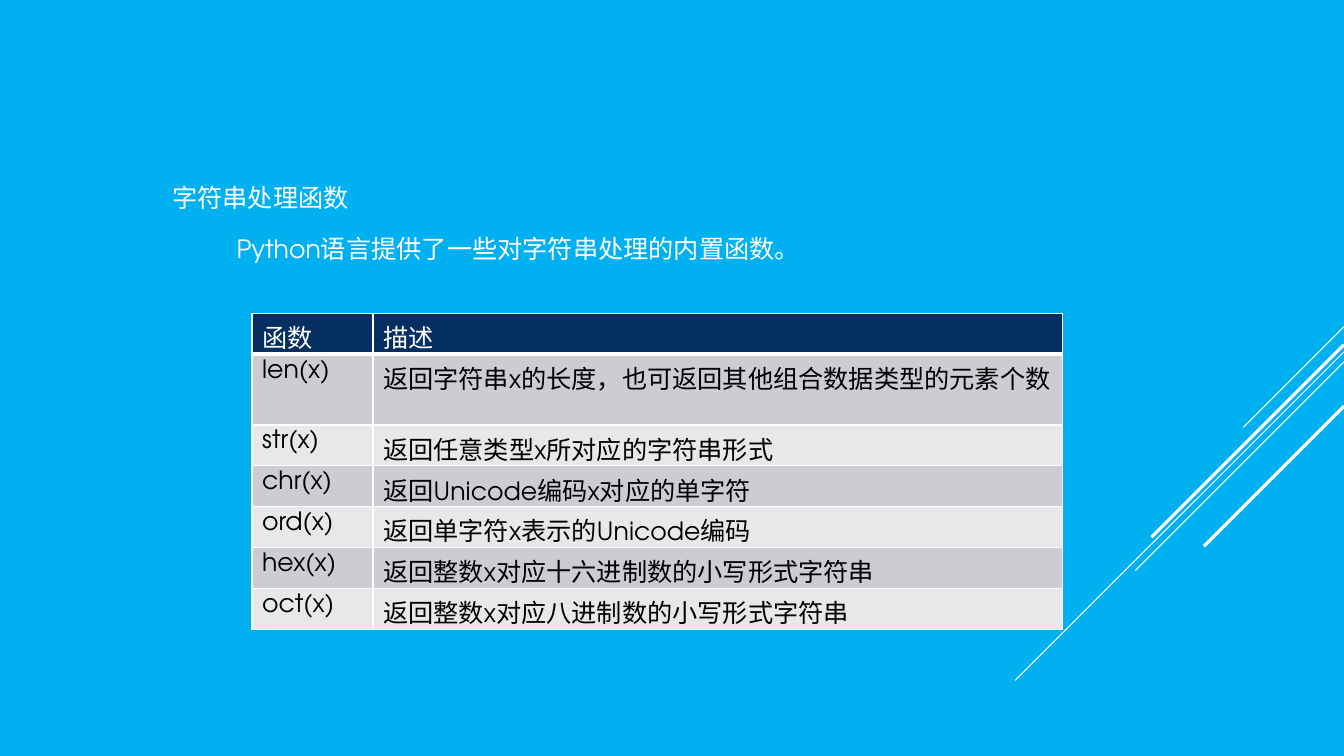
from lxml import etree
from pptx import Presentation
from pptx.dml.color import RGBColor
from pptx.enum.shapes import MSO_CONNECTOR
from pptx.enum.text import MSO_AUTO_SIZE
from pptx.oxml.ns import qn
from pptx.util import Inches, Pt

STRAIGHT = MSO_CONNECTOR.STRAIGHT
FIT_SHAPE = MSO_AUTO_SIZE.SHAPE_TO_FIT_TEXT

FONT = "TeX Gyre Adventor"
FONT_SIZE = 18
COLORS = {
    "background": "00B0F0",
    "white": "FFFFFF",
    "black": "000000",
    "header": "052F61",
    "odd_row": "CCCDD2",
    "even_row": "E7E8EA",
}

# text, left, top, width
HEADINGS = [
    ("字符串处理函数", 1.61, 1.76, 1.97),
    ("Python语言提供了一些对字符串处理的内置函数。", 2.25, 2.27, 5.84),
]
HEADING_HEIGHT = 0.4

FUNCTIONS = [
    ("函数", "描述"),
    ("len(x)", "返回字符串x的长度，也可返回其他组合数据类型的元素个数"),
    ("str(x)", "返回任意类型x所对应的字符串形式"),
    ("chr(x)", "返回Unicode编码x对应的单字符"),
    ("ord(x)", "返回单字符x表示的Unicode编码"),
    ("hex(x)", "返回整数x对应十六进制数的小写形式字符串"),
    ("oct(x)", "返回整数x对应八进制数的小写形式字符串"),
]
TABLE_LEFT, TABLE_TOP, TABLE_HEIGHT = 2.5, 3.11, 2.84
COLUMN_WIDTHS = (1.2, 6.84)

SLIDE_WIDTH, SLIDE_HEIGHT = 13.33, 7.5
# start height on the right edge, diagonal run, line width
STRIPES = [
    (3.24, 1.0, 0.75),
    (3.49, 3.26, 0.75),
    (3.59, 2.07, 0.75),
    (3.42, 1.91, 2.25),
    (4.03, 1.39, 2.25),
]


def rgb(name):
    return RGBColor.from_string(COLORS[name])


def write(text_frame, text, color):
    paragraph = text_frame.paragraphs[0]
    paragraph.text = text
    for run in paragraph.runs:
        run.font.name = FONT
        run.font.size = Pt(FONT_SIZE)
        run.font.bold = False
        run.font.color.rgb = rgb(color)


def add_stripe(slide, top, run, width):
    """Draw a 45-degree stripe down and left from the right slide edge."""
    stripe = slide.shapes.add_connector(
        STRAIGHT, Inches(SLIDE_WIDTH), Inches(top),
        Inches(SLIDE_WIDTH - run), Inches(top + run))
    stripe.line.color.rgb = rgb("white")
    stripe.line.width = Pt(width)
    etree.SubElement(stripe._element.spPr, qn("a:effectLst"))


def add_heading(slide, text, left, top, width):
    heading = slide.shapes.add_textbox(
        Inches(left), Inches(top), Inches(width), Inches(HEADING_HEIGHT))
    heading.text_frame.word_wrap = False
    heading.text_frame.auto_size = FIT_SHAPE
    write(heading.text_frame, text, "white")


def add_borders(cell, bottom_width):
    """Outline a cell in white; must run before the cell gets its fill."""
    properties = cell._tc.get_or_add_tcPr()
    for side, width in (("L", 1), ("R", 1), ("T", 1), ("B", bottom_width)):
        border = etree.SubElement(properties, qn(f"a:ln{side}"), w=str(Pt(width)))
        fill = etree.SubElement(border, qn("a:solidFill"))
        etree.SubElement(fill, qn("a:srgbClr"), val=COLORS["white"])


def add_function_table(slide):
    table = slide.shapes.add_table(
        len(FUNCTIONS), len(COLUMN_WIDTHS), Inches(TABLE_LEFT), Inches(TABLE_TOP),
        Inches(sum(COLUMN_WIDTHS)), Inches(TABLE_HEIGHT)).table
    for column, width in zip(table.columns, COLUMN_WIDTHS):
        column.width = Inches(width)
    for row_index, entries in enumerate(FUNCTIONS):
        is_header = row_index == 0
        band = "header" if is_header else "odd_row" if row_index % 2 else "even_row"
        for column_index, text in enumerate(entries):
            cell = table.cell(row_index, column_index)
            add_borders(cell, 3 if is_header else 1)
            cell.fill.solid()
            cell.fill.fore_color.rgb = rgb(band)
            write(cell.text_frame, text, "white" if is_header else "black")


def main():
    deck = Presentation()
    deck.slide_width = Inches(SLIDE_WIDTH)
    deck.slide_height = Inches(SLIDE_HEIGHT)
    slide = deck.slides.add_slide(deck.slide_layouts[6])
    slide.background.fill.solid()
    slide.background.fill.fore_color.rgb = rgb("background")
    for stripe in STRIPES:
        add_stripe(slide, *stripe)
    for heading in HEADINGS:
        add_heading(slide, *heading)
    add_function_table(slide)
    deck.save("out.pptx")


if __name__ == "__main__":
    main()
